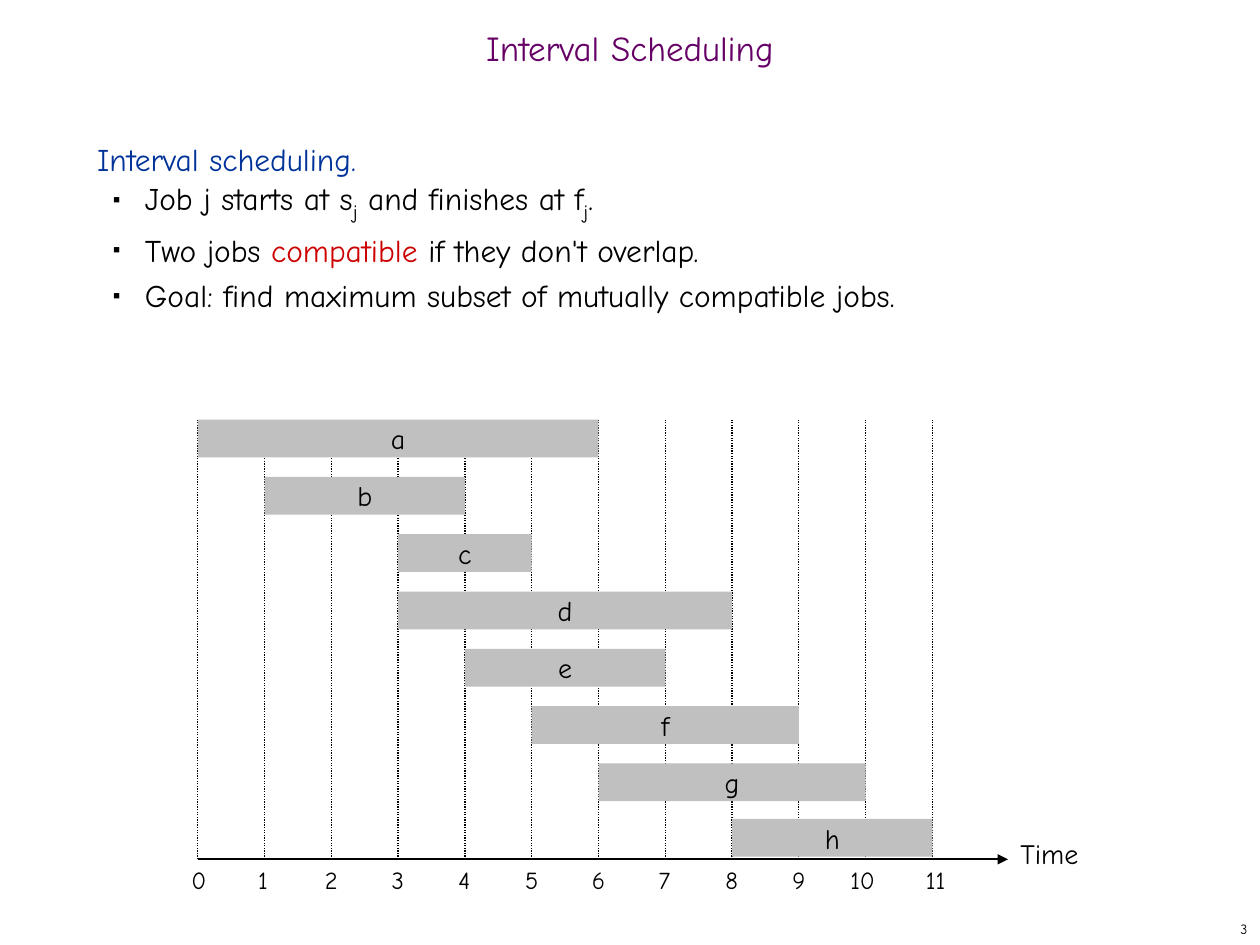
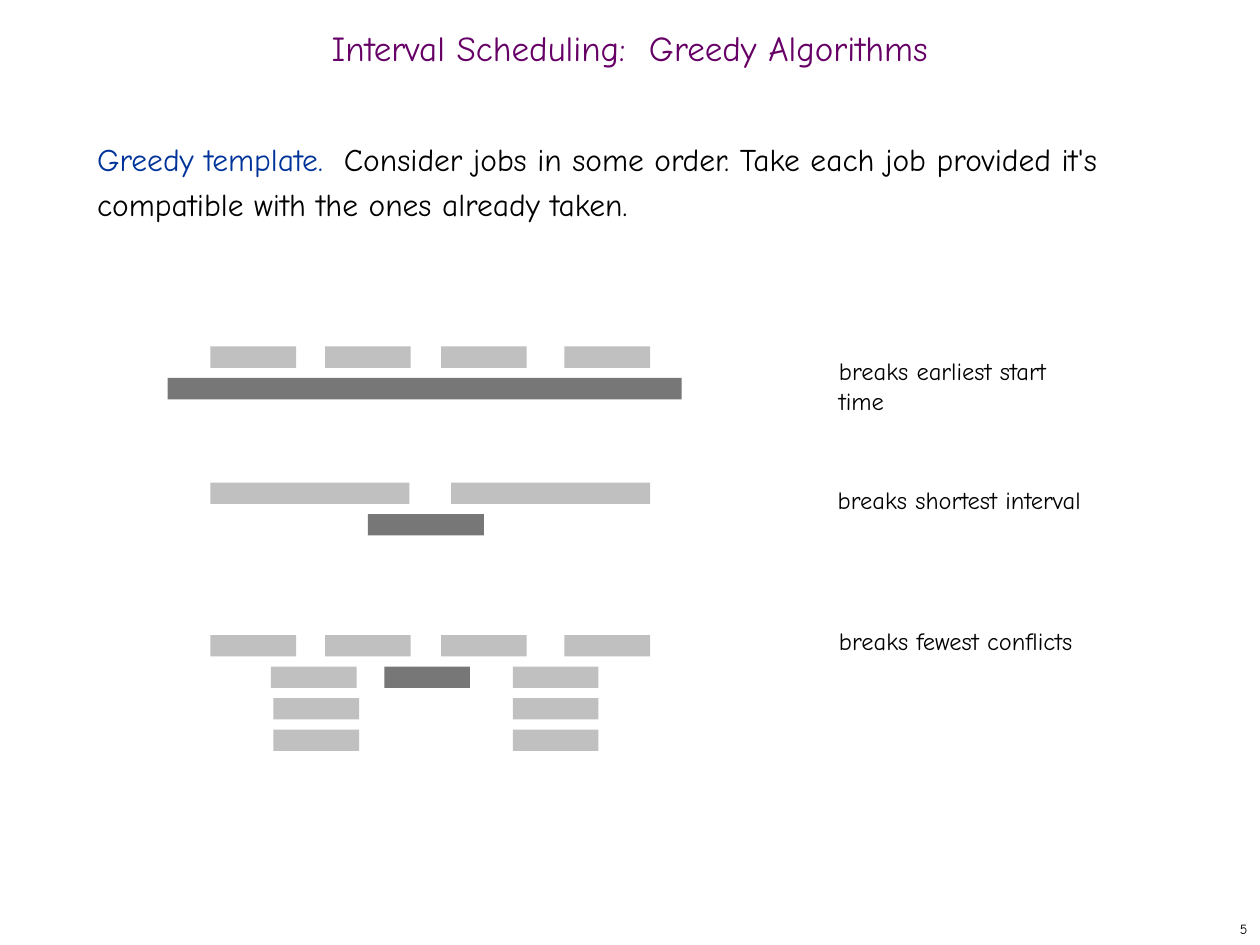
from dataclasses import dataclass
from typing import NamedTuple

from lxml.etree import SubElement
from pptx import Presentation
from pptx.dml.color import RGBColor
from pptx.enum.dml import MSO_LINE
from pptx.enum.shapes import MSO_CONNECTOR, MSO_SHAPE
from pptx.enum.text import MSO_ANCHOR, MSO_AUTO_SIZE, PP_ALIGN
from pptx.oxml.ns import qn
from pptx.shapes.autoshape import Shape
from pptx.shapes.connector import Connector
from pptx.slide import Slide
from pptx.text.text import Font, _Paragraph
from pptx.util import Inches, Pt

FONT = "Comic Neue"
COLORS = {
    "title": "660066",
    "lead": "003399",
    "accent": "CC0000",
    "ink": "000000",
    "job": "C0C0C0",
    "chosen": "777777",
}

AXIS_LEFT, AXIS_RIGHT, AXIS_Y = 1.57, 8, 6.82
HOUR = 0.53
LAST_HOUR = 11
JOBS_TOP, JOB_STEP, JOB_HEIGHT = 3.33, 0.455, 0.3
LABEL_SHIFT = {10: -0.07}

BLOCK_HEIGHT, BLOCK_STEP = 0.17, 0.25
SHORT = 0.68
SPREAD = (1.67, 2.58, 3.5, 4.48)


class Piece(NamedTuple):
    text: str
    color: str = "ink"
    subscript: bool = False


class Job(NamedTuple):
    name: str
    start: int
    finish: int


class Block(NamedTuple):
    left: float
    row: int
    width: float = SHORT
    color: str = "job"


@dataclass(frozen=True)
class Counterexample:
    broken_rule: str
    rule_left: float
    rule_top: float
    top: float
    blocks: tuple[Block, ...]


JOBS = (
    Job("a", 0, 6), Job("b", 1, 4), Job("c", 3, 5), Job("d", 3, 8),
    Job("e", 4, 7), Job("f", 5, 9), Job("g", 6, 10), Job("h", 8, 11),
)

DEFINITIONS = (
    (Piece("Job j starts at s"), Piece("j", subscript=True),
     Piece(" and finishes at f"), Piece("j", subscript=True), Piece(".")),
    (Piece("Two jobs "), Piece("compatible ", "accent"),
     Piece("if they don't overlap.")),
    (Piece("Goal: find maximum subset of mutually compatible jobs."),),
)

COUNTEREXAMPLES = (
    Counterexample(
        "breaks earliest start time", 6.56, 2.78, 2.75,
        (*(Block(left, 0) for left in SPREAD), Block(1.33, 1, 4.08, "chosen")),
    ),
    Counterexample(
        "breaks shortest interval", 6.55, 3.8, 3.83,
        (Block(1.67, 0, 1.58), Block(3.58, 0, 1.58),
         Block(2.92, 1, 0.92, "chosen")),
    ),
    Counterexample(
        "breaks fewest conflicts", 6.56, 4.92, 5.04,
        (*(Block(left, 0) for left in SPREAD),
         Block(2.15, 1), Block(2.17, 2), Block(2.17, 3),
         *(Block(4.07, row) for row in (1, 2, 3)),
         Block(3.05, 1, color="chosen")),
    ),
)


def rgb(color: str) -> RGBColor:
    return RGBColor.from_string(COLORS[color])


def style_font(font: Font, size: float, color: str = "ink") -> None:
    font.name = FONT
    font.size = Pt(size)
    font.color.rgb = rgb(color)


def place(shape: Shape, left: float, top: float, width: float, height: float) -> None:
    shape.left, shape.top = Inches(left), Inches(top)
    shape.width, shape.height = Inches(width), Inches(height)


def add_label(slide: Slide, text: str, left: float, top: float, width: float,
              height: float, size: float, wrap: bool = True) -> Shape:
    label = slide.shapes.add_textbox(
        Inches(left), Inches(top), Inches(width), Inches(height))
    label.text_frame.word_wrap = wrap
    paragraph = label.text_frame.paragraphs[0]
    paragraph.text = text
    style_font(paragraph.font, size)
    return label


def add_bar(slide: Slide, left: float, top: float, width: float,
            height: float, color: str, name: str = "") -> Shape:
    bar = slide.shapes.add_shape(
        MSO_SHAPE.RECTANGLE, Inches(left), Inches(top), Inches(width), Inches(height))
    bar.shadow.inherit = False
    bar.fill.solid()
    bar.fill.fore_color.rgb = rgb(color)
    bar.line.fill.background()
    if name:
        bar.text_frame.word_wrap = False
        bar.text_frame.vertical_anchor = MSO_ANCHOR.MIDDLE
        paragraph = bar.text_frame.paragraphs[0]
        paragraph.text = name
        paragraph.alignment = PP_ALIGN.CENTER
        style_font(paragraph.font, 16)
    return bar


def add_line(slide: Slide, x1: float, y1: float, x2: float, y2: float,
             weight: float) -> Connector:
    line = slide.shapes.add_connector(
        MSO_CONNECTOR.STRAIGHT, Inches(x1), Inches(y1), Inches(x2), Inches(y2))
    line.line.color.rgb = rgb("ink")
    line.line.width = Pt(weight)
    SubElement(line._element.spPr, qn("a:effectLst"))
    return line


def set_bullet(paragraph: _Paragraph, bulleted: bool) -> None:
    properties = paragraph._p.get_or_add_pPr()
    properties.set("marL", str(Inches(0.38 if bulleted else 0)))
    properties.set("indent", str(Inches(-0.25 if bulleted else 0)))
    if not bulleted:
        SubElement(properties, qn("a:buNone"))
        return
    bullet_color = SubElement(properties, qn("a:buClr"))
    SubElement(bullet_color, qn("a:srgbClr"), val=COLORS["ink"])
    SubElement(properties, qn("a:buSzPct"), val="35000")
    SubElement(properties, qn("a:buChar"), char="■")


def write_line(paragraph: _Paragraph, pieces: tuple[Piece, ...],
               bulleted: bool = False) -> None:
    paragraph.level = int(bulleted)
    paragraph.line_spacing = Pt(26)
    paragraph.space_before = Pt(0)
    set_bullet(paragraph, bulleted)
    style_font(paragraph.font, 18)
    for piece in pieces:
        run = paragraph.add_run()
        run.text = piece.text
        run.font.color.rgb = rgb(piece.color)
        if piece.subscript:
            run.font.size = Pt(20)
            run._r.get_or_add_rPr().set("baseline", "-25000")


def add_slide(deck: Presentation, title: str, number: int,
              lead: tuple[Piece, ...],
              bullets: tuple[tuple[Piece, ...], ...] = ()) -> Slide:
    slide = deck.slides.add_slide(deck.slide_layouts[1])
    page = add_label(slide, str(number), 7.92, 7.25, 2.08, 0.25, 8, wrap=False)
    page.text_frame.vertical_anchor = MSO_ANCHOR.MIDDLE
    page.text_frame.paragraphs[0].alignment = PP_ALIGN.RIGHT

    heading = slide.shapes.title
    place(heading, 0, 0.17, 10, 0.5)
    heading.text_frame.auto_size = MSO_AUTO_SIZE.NONE
    heading.text_frame.vertical_anchor = MSO_ANCHOR.MIDDLE
    paragraph = heading.text_frame.paragraphs[0]
    paragraph.text = title
    paragraph.alignment = PP_ALIGN.CENTER
    paragraph.line_spacing = 0.7
    style_font(paragraph.font, 20, "title")

    body = slide.placeholders[1]
    place(body, 0.67, 1, 8.58, 5.92)
    body.text_frame.auto_size = MSO_AUTO_SIZE.NONE
    write_line(body.text_frame.paragraphs[0], lead)
    for bullet in bullets:
        write_line(body.text_frame.add_paragraph(), bullet, bulleted=True)
    return slide


def hour_x(hour: int) -> float:
    return AXIS_LEFT + HOUR * hour


def draw_timeline(slide: Slide) -> None:
    axis = add_line(slide, AXIS_LEFT, AXIS_Y, AXIS_RIGHT, AXIS_Y, 1.25)
    SubElement(axis.line._get_or_add_ln(), qn("a:tailEnd"), type="triangle")
    add_label(slide, "Time", AXIS_RIGHT, 6.59, 0.83, 0.37, 16)

    hour_lines = []
    for hour in range(LAST_HOUR + 1):
        x = hour_x(hour)
        hour_line = add_line(slide, x, AXIS_Y, x, JOBS_TOP, 0.75)
        hour_line.line.dash_style = MSO_LINE.ROUND_DOT
        hour_lines.append(hour_line)
        add_label(slide, str(hour), x - 0.15 + LABEL_SHIFT.get(hour, 0), AXIS_Y,
                  0.46, 0.33, 14)

    lowest_top = AXIS_Y - JOB_HEIGHT - 0.02
    bars = [
        add_bar(slide, hour_x(job.start), min(JOBS_TOP + JOB_STEP * row, lowest_top),
                HOUR * (job.finish - job.start), JOB_HEIGHT, "job", job.name)
        for row, job in enumerate(JOBS)
    ]
    first = JOBS[0]
    hour_lines[(first.start + first.finish) // 2].end_connect(bars[0], 0)


def draw_counterexample(slide: Slide, example: Counterexample) -> None:
    for block in example.blocks:
        add_bar(slide, block.left, example.top + BLOCK_STEP * block.row,
                block.width, BLOCK_HEIGHT, block.color)
    add_label(slide, example.broken_rule, example.rule_left, example.rule_top,
              2.2, 0.33, 14, wrap=False)


def main() -> None:
    deck = Presentation()
    deck.slide_width, deck.slide_height = Inches(10), Inches(7.5)

    scheduling = add_slide(deck, "Interval Scheduling", 3,
                           (Piece("Interval scheduling.", "lead"),), DEFINITIONS)
    draw_timeline(scheduling)

    greedy = add_slide(
        deck, "Interval Scheduling:  Greedy Algorithms", 5,
        (Piece("Greedy template.  ", "lead"),
         Piece("Consider jobs in some order. Take each job provided it's "
               "compatible with the ones already taken.")))
    for example in COUNTEREXAMPLES:
        draw_counterexample(greedy, example)

    deck.save("out.pptx")


if __name__ == "__main__":
    main()
